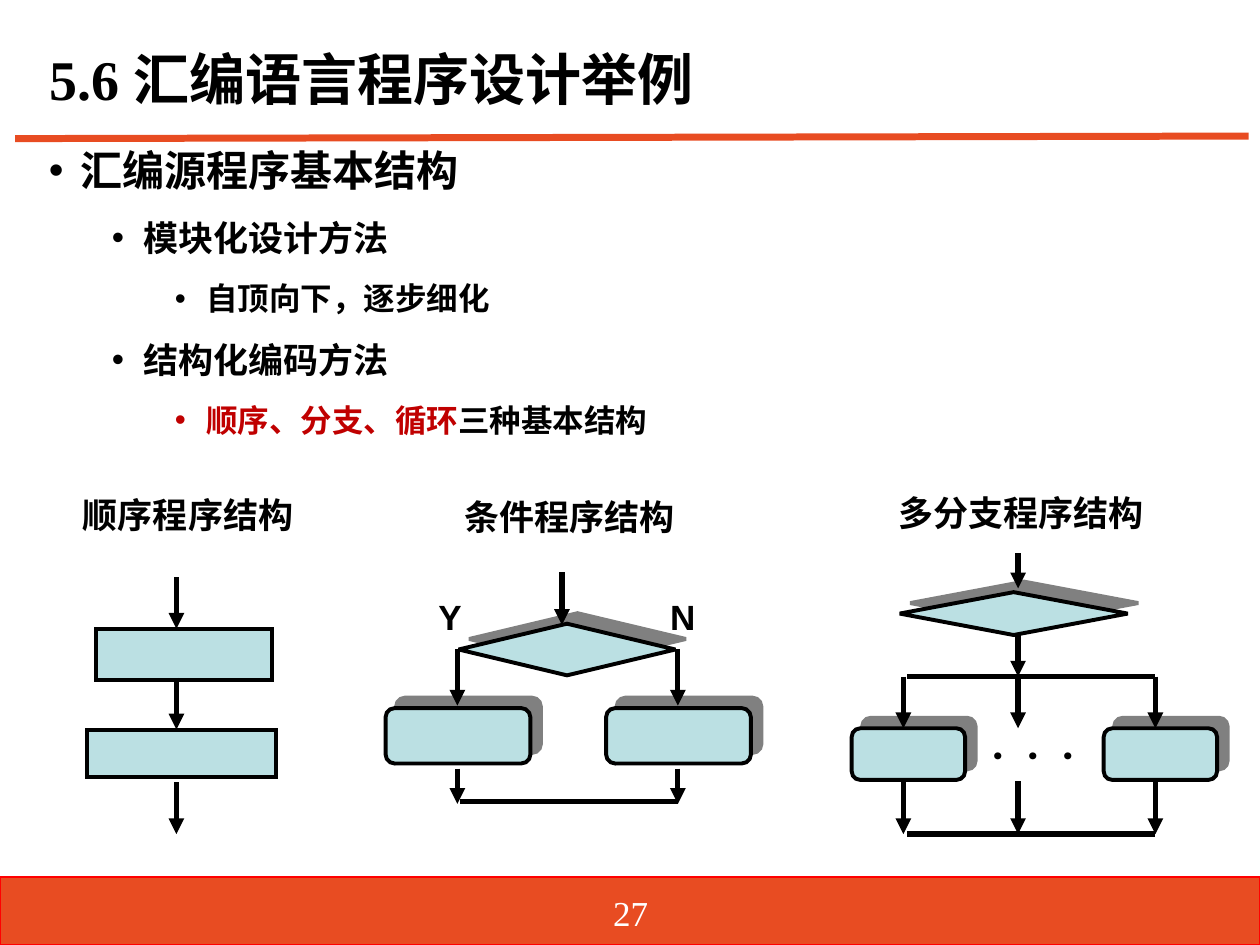
from lxml.etree import SubElement
from pptx import Presentation
from pptx.dml.color import RGBColor
from pptx.enum.shapes import MSO_CONNECTOR, MSO_SHAPE
from pptx.enum.text import MSO_ANCHOR, MSO_AUTO_SIZE, PP_ALIGN
from pptx.oxml.ns import qn
from pptx.util import Inches, Pt

COLORS = {
    "accent": "E84C22",
    "border": "FF0000",
    "box": "BBE0E3",
    "ink": "000000",
    "emphasis": "C00000",
    "shadow": "808080",
    "white": "FFFFFF",
}
SERIF = "Times New Roman"
SANS = "Arial"


def rgb(name):
    return RGBColor.from_string(COLORS[name])


class SlideBuilder:
    def __init__(self, presentation):
        self.slide = presentation.slides.add_slide(presentation.slide_layouts[5])
        self.shapes = self.slide.shapes

    def format_font(self, font, size, name=SERIF, color="ink", bold=True):
        values = {"size": Pt(size), "name": name, "bold": bold}
        for attribute, value in values.items():
            setattr(font, attribute, value)
        font.color.rgb = rgb(color)

    def title(self, text, left, top, width, height):
        title = self.shapes.title
        place = {"left": left, "top": top, "width": width, "height": height}
        for attribute, value in place.items():
            setattr(title, attribute, Inches(value))
        frame = title.text_frame
        frame.text = text
        frame.vertical_anchor = MSO_ANCHOR.MIDDLE
        paragraph = frame.paragraphs[0]
        paragraph.alignment = PP_ALIGN.LEFT
        paragraph.line_spacing = 0.9
        self.format_font(paragraph.runs[0].font, 32)

    def text(self, text, left, top, width, height, align=PP_ALIGN.LEFT, **style):
        box = self.shapes.add_textbox(*map(Inches, (left, top, width, height)))
        frame = box.text_frame
        frame.word_wrap = False
        frame.auto_size = MSO_AUTO_SIZE.SHAPE_TO_FIT_TEXT
        paragraph = frame.paragraphs[0]
        paragraph.alignment = align
        run = paragraph.add_run()
        run.text = text
        self.format_font(run.font, 20, **style)

    def bullets(self, items, left, top, width, height):
        box = self.shapes.add_textbox(*map(Inches, (left, top, width, height)))
        frame = box.text_frame
        frame.word_wrap = True
        for index, (level, size, runs) in enumerate(items):
            paragraph = frame.add_paragraph() if index else frame.paragraphs[0]
            paragraph.level = level
            properties = paragraph._p.get_or_add_pPr()
            properties.set("marL", str(Inches(0.25 + 0.5 * level)))
            properties.set("indent", str(Inches(-0.25)))
            SubElement(properties, qn("a:buFont"), typeface=SANS)
            SubElement(properties, qn("a:buChar"), char="•")
            paragraph.space_before = Pt(6 if index else 0)
            paragraph.space_after = Pt(6)
            for content, color in runs:
                run = paragraph.add_run()
                run.text = content
                self.format_font(run.font, size, color=color)

    def box(self, kind, left, top, width, height, fill="box", line="ink",
            weight=2.25, shadow=False):
        shape = self.shapes.add_shape(kind, *map(Inches, (left, top, width, height)))
        shape.fill.solid()
        shape.fill.fore_color.rgb = rgb(fill)
        shape.line.color.rgb = rgb(line)
        shape.line.width = Pt(weight)
        properties = shape._element.spPr
        SubElement(properties.find(qn("a:ln")), qn("a:miter"), lim="800000")
        shape.shadow.inherit = False
        if shadow:
            effect = SubElement(
                properties.find(qn("a:effectLst")), qn("a:outerShdw"),
                dist=str(Pt(8.5)), dir=str(315 * 60000), algn="ctr", rotWithShape="0")
            SubElement(effect, qn("a:srgbClr"), val=COLORS["shadow"])

    def line(self, x1, y1, x2, y2, color="ink", weight=3, arrow=False):
        connector = self.shapes.add_connector(
            MSO_CONNECTOR.STRAIGHT, *map(Inches, (x1, y1, x2, y2)))
        connector.line.color.rgb = rgb(color)
        connector.line.width = Pt(weight)
        properties = connector._element.spPr
        if arrow:
            SubElement(properties.find(qn("a:ln")), qn("a:tailEnd"), type="triangle")
        SubElement(properties, qn("a:effectLst"))

    def down_arrows(self, columns, top, bottom):
        for x in columns:
            self.line(x, top, x, bottom, arrow=True)


def draw_sequence(builder):
    builder.text("顺序程序结构", 0.56, 3.87, 2.44, 0.44, name=SANS)
    builder.box(MSO_SHAPE.RECTANGLE, 0.76, 4.99, 1.4, 0.41)
    builder.box(MSO_SHAPE.RECTANGLE, 0.69, 5.79, 1.5, 0.38)
    for top in (4.58, 5.38, 6.21):
        builder.down_arrows([1.4], top, top + 0.41)


def draw_condition(builder):
    branches = (3.63, 5.38)
    builder.text("条件程序结构", 3.59, 3.88, 2.4, 0.44, name=SANS)
    builder.box(MSO_SHAPE.FLOWCHART_DECISION, 3.64, 4.95, 1.72, 0.41, shadow=True)
    for left in (3.06, 4.81):
        builder.box(MSO_SHAPE.FLOWCHART_ALTERNATE_PROCESS, left, 5.62, 1.15, 0.44,
                    shadow=True)
    builder.down_arrows([4.46], 4.54, 4.96)
    builder.down_arrows(branches, 5.15, 5.6)
    builder.down_arrows(branches, 6.1, 6.38)
    builder.line(3.65, 6.36, 5.38, 6.36)
    builder.text("Y", 3.38, 4.68, 0.38, 0.44, name=SANS)
    builder.text("N", 5.22, 4.68, 0.4, 0.44, name=SANS)


def draw_multiple_branches(builder):
    center = 8.08
    branches = (7.17, center, 9.17)
    builder.text("多分支程序结构", 7.03, 3.85, 2.44, 0.44, name=SANS)
    builder.box(MSO_SHAPE.FLOWCHART_DECISION, 7.14, 4.7, 1.81, 0.34, shadow=True)
    for left in (6.76, 8.76):
        builder.box(MSO_SHAPE.FLOWCHART_ALTERNATE_PROCESS, left, 5.78, 0.9, 0.41,
                    shadow=True)
    builder.text("．．．", 7.75, 5.71, 1.26, 0.44, name=SANS)
    builder.down_arrows([center], 4.39, 4.67)
    builder.down_arrows([center], 5.03, 5.37)
    builder.down_arrows(branches, 5.37, 5.78)
    builder.down_arrows(branches, 6.2, 6.62)
    for y in (5.37, 6.62):
        builder.line(7.2, y, 9.17, y)


def main():
    presentation = Presentation()
    presentation.slide_width = Inches(10)
    presentation.slide_height = Inches(7.5)
    builder = SlideBuilder(presentation)
    builder.box(MSO_SHAPE.RECTANGLE, 0, 6.96, 10, 0.54, fill="accent", line="border",
                weight=0)
    builder.line(0.12, 1.1, 9.91, 1.08, color="accent", weight=4)
    builder.title("5.6 汇编语言程序设计举例", 0.29, 0.21, 9.44, 0.88)
    builder.bullets([
        (0, 24, [("汇编源程序基本结构", "ink")]),
        (1, 20, [("模块化设计方法", "ink")]),
        (2, 18, [("自顶向下，逐步细化", "ink")]),
        (1, 20, [("结构化编码方法", "ink")]),
        (2, 18, [("顺序、分支、循环", "emphasis"), ("三种基本结构", "ink")]),
    ], 0.29, 1.1, 9.44, 5.85)
    builder.text("27", 3.88, 7.03, 2.25, 0.4, align=PP_ALIGN.CENTER, color="white",
                 bold=False)
    draw_sequence(builder)
    draw_condition(builder)
    draw_multiple_branches(builder)
    presentation.save("out.pptx")


if __name__ == "__main__":
    main()
